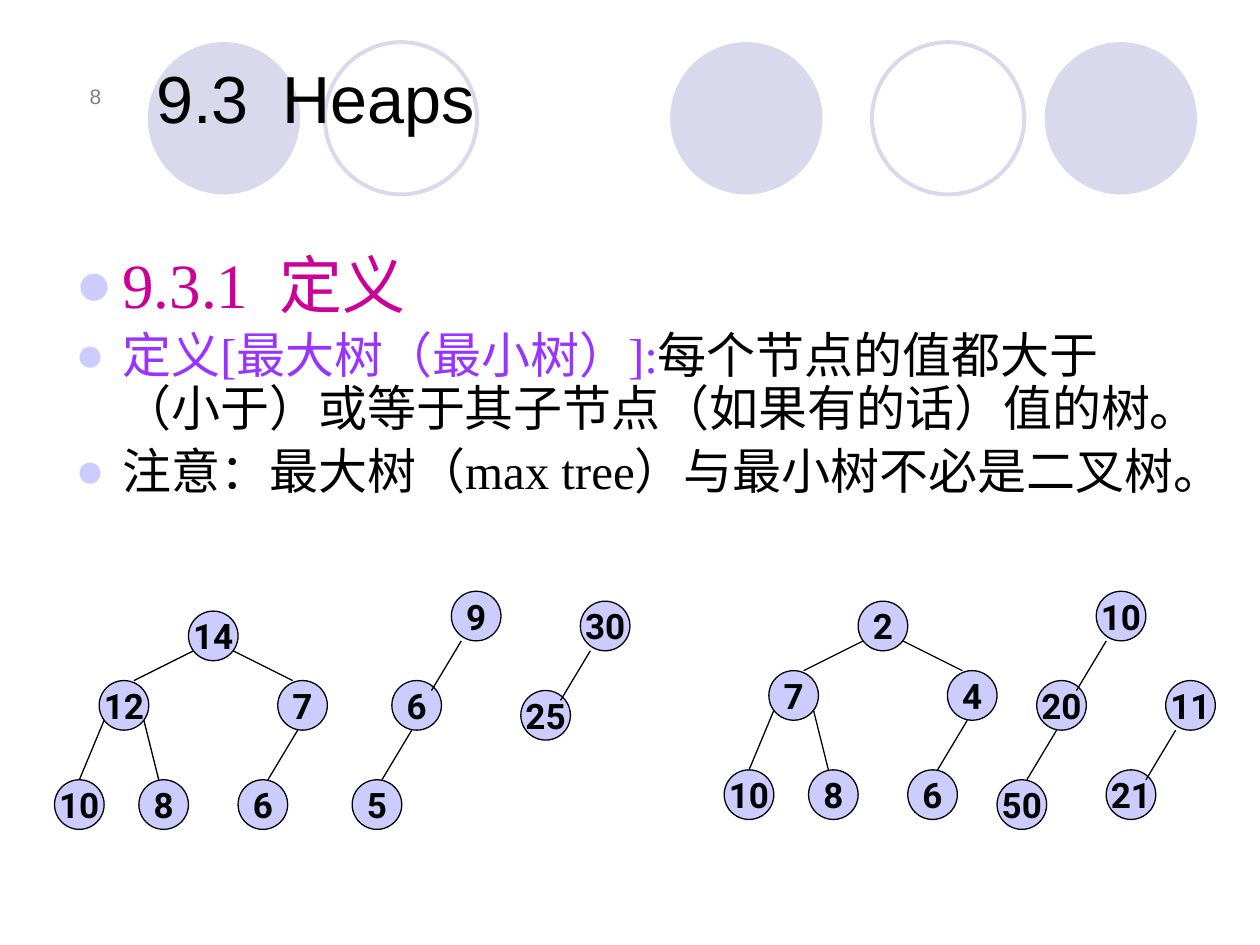
from lxml import etree
from pptx import Presentation
from pptx import util as u
from pptx.dml.color import RGBColor
from pptx.enum import shapes as sh, text as tx
from pptx.oxml import ns

HUE = {"ring": "D9D8EC", "node": "CCCCFF", "ink": "000000", "page": "808080",
       "head": "CC0099", "term": "9933FF"}

deck = Presentation()
deck.slide_width, deck.slide_height = u.Cm(25.4), u.Cm(19.05)
slide = deck.slides.add_slide(deck.slide_layouts[6])


def add_disc(x, y, size, fill, line, width):
    disc = slide.shapes.add_shape(sh.MSO_SHAPE.OVAL, *map(u.Cm, (x, y, size, size)))
    disc.shadow.inherit = False
    for part, hue in ((disc.fill, fill), (disc.line.fill, line)):
        if hue:
            part.solid()
            part.fore_color.rgb = RGBColor.from_string(HUE[hue])
        else:
            part.background()
    if line:
        disc.line.width = u.Pt(width)
    return disc


def add_run(para, words, size, font, hue, bold=False):
    run = para.add_run()
    run.text = words
    run.font.size, run.font.name, run.font.bold = u.Pt(size), font, bold
    run.font.color.rgb = RGBColor.from_string(HUE[hue])


# Row of circles behind the title
for x, full in ((13.51, True), (21.06, True), (2.98, True), (17.58, False), (6.55, False)):
    add_disc(x, 0.85, 3.07, "ring" if full else None, None if full else "ring", 2.25)

# Page number, title and body boxes
frames = []
for spot, anchor in (((0.89, 1.12, 1.4, 1.19), tx.MSO_ANCHOR.BOTTOM),
                     ((2.9, 0.53, 21.82, 2.36), tx.MSO_ANCHOR.BOTTOM),
                     ((1.27, 4.83, 22.86, 6.63), tx.MSO_ANCHOR.TOP)):
    frame = slide.shapes.add_textbox(*map(u.Cm, spot)).text_frame
    frame.word_wrap, frame.vertical_anchor = True, anchor
    frames.append(frame)
page, title, body = frames

page.paragraphs[0].alignment = tx.PP_ALIGN.RIGHT
add_run(page.paragraphs[0], "8", 12, "Arial", "page")
add_run(title.paragraphs[0], "9.3\tHeaps", 38, "Arial", "ink")

# Bulleted definitions: size, line spacing, runs
notes = [
    (36, 1.0, [("9.3.1  定义", "head")]),
    (28, 0.9, [("定义[最大树（最小树）]:", "term"),
               ("每个节点的值都大于（小于）或等于其子节点（如果有的话）值的树。", "ink")]),
    (28, 0.9, [("注意：最大树（max tree）与最小树不必是二叉树。", "ink")]),
]
for i, (size, gap, runs) in enumerate(notes):
    para = body.add_paragraph() if i else body.paragraphs[0]
    para.line_spacing, para.space_before = gap, u.Pt(size * 0.2)
    props = para._p.get_or_add_pPr()
    props.set("marL", str(u.Cm(0.95)))
    props.set("indent", str(u.Cm(-0.95)))
    tint = etree.SubElement(props, ns.qn("a:buClr"))
    etree.SubElement(tint, ns.qn("a:srgbClr"), val=HUE["node"])
    etree.SubElement(props, ns.qn("a:buFont"), typeface="Arial")
    etree.SubElement(props, ns.qn("a:buChar"), char="●")
    for words, hue in runs:
        add_run(para, words, size, "Times New Roman", hue)

# Tree forms in cm from the root's corner: node spots, then edges (x1, y1, x2, y2)
FORMS = {
    "wide": ([(0, 0), (-1.8, 1.4), (1.8, 1.4), (-2.7, 3.4), (-1, 3.4), (1, 3.4)],
             [(-1.1, 1.4, 0.1, 0.8), (2.1, 1.4, 0.9, 0.8), (-2.2, 3.4, -1.7, 2.2),
              (-0.6, 3.4, -0.9, 2.2), (1.6, 3.4, 2.2, 2.4)]),
    "chain": ([(0, 0), (-1.2, 1.8), (-2, 3.8)],
              [(-0.4, 2, 0.2, 1), (-1.4, 3.8, -0.8, 2.8)]),
    "pair": ([(0, 0), (-1.2, 1.8)], [(-0.4, 2, 0.2, 1)]),
}

# Max trees on the left, min trees on the right
trees = [
    ("wide", 3.8, 12.32, (14, 12, 7, 10, 8, 6)),
    ("chain", 9.1, 11.92, (9, 6, 5)),
    ("pair", 11.7, 12.12, (30, 25)),
    ("wide", 17.3, 12.12, (2, 7, 4, 10, 8, 6)),
    ("chain", 22.1, 11.92, (10, 20, 50)),
    ("pair", 23.5, 13.72, (11, 21)),
]
for form, x, y, keys in trees:
    spots, edges = FORMS[form]
    for (dx, dy), key in zip(spots, keys):
        frame = add_disc(x + dx, y + dy, 1, "node", "ink", 0.75).text_frame
        frame.margin_left = frame.margin_right = frame.margin_top = frame.margin_bottom = 0
        frame.word_wrap, frame.vertical_anchor = False, tx.MSO_ANCHOR.MIDDLE
        frame.paragraphs[0].alignment = tx.PP_ALIGN.CENTER
        add_run(frame.paragraphs[0], str(key), 20, "Roboto", "ink", True)
    for x1, y1, x2, y2 in edges:
        edge = slide.shapes.add_connector(sh.MSO_CONNECTOR.STRAIGHT, u.Cm(x + x1),
                                          u.Cm(y + y1), u.Cm(x + x2), u.Cm(y + y2))
        edge.line.width = u.Pt(0.75)
        edge.line.color.rgb = RGBColor.from_string(HUE["ink"])
        etree.SubElement(edge._element.spPr, ns.qn("a:effectLst"))

deck.save("out.pptx")
